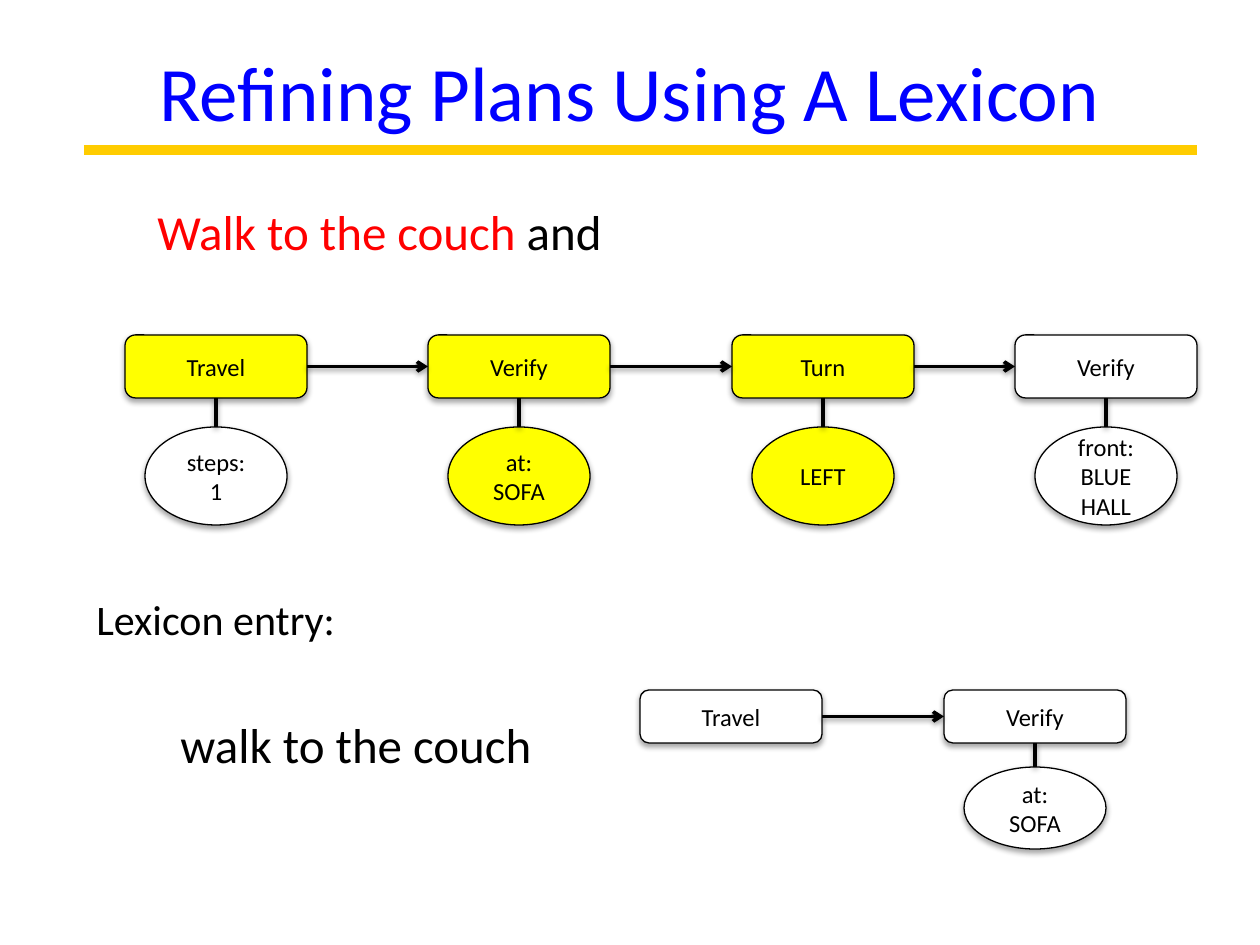
"""Build the slide on refining navigation plans with a lexicon."""
import pptx
import pptx.dml.color
import pptx.enum.shapes
import pptx.enum.text
import pptx.oxml
import pptx.oxml.ns
import pptx.util
from lxml import etree

BLUE = pptx.dml.color.RGBColor(0, 0, 255)
GOLD = pptx.dml.color.RGBColor(255, 204, 0)
RED = pptx.dml.color.RGBColor(255, 0, 0)
YELLOW = pptx.dml.color.RGBColor(255, 255, 0)
BLACK = pptx.dml.color.RGBColor(0, 0, 0)
WHITE = pptx.dml.color.RGBColor(255, 255, 255)

TITLE = "Refining Plans Using A Lexicon"
TEXTS = [
    ((145, 195, 607, 72), 28, [("Walk to the couch ", RED), ("and", BLACK)]),
    ((84, 587, 678, 63), 24, [("Lexicon entry:", BLACK)]),
    ((168, 708, 394, 72), 28, [("walk to the couch", BLACK)]),
]
PLANS = [
    {
        "top": 335, "box_height": 63, "gap": 29, "oval_height": 98,
        "steps": [
            (125, "Travel", YELLOW, ["steps: 1"], WHITE),
            (428, "Verify", YELLOW, ["at: SOFA"], YELLOW),
            (732, "Turn", YELLOW, ["LEFT"], YELLOW),
            (1015, "Verify", WHITE, ["front: BLUE", "HALL"], WHITE),
        ],
    },
    {
        "top": 690, "box_height": 53, "gap": 24, "oval_height": 82,
        "steps": [
            (640, "Travel", WHITE, [], WHITE),
            (944, "Verify", WHITE, ["at: SOFA"], WHITE),
        ],
    },
]
BOX_WIDTH = 182
OVAL_WIDTH = 142
FONT = "Calibri"
SHAPE_KIND = pptx.enum.shapes.MSO_SHAPE
SCALE = 914400 / 126


def px(*lengths):
    return [pptx.util.Emu(round(length * SCALE)) for length in lengths]


def add_run(paragraph, text, size, color):
    run = paragraph.add_run()
    run.text = text
    run.font.name = FONT
    run.font.size = pptx.util.Pt(size)
    run.font.color.rgb = color


def set_effects(shape, distance=0, opacity=0):
    properties = shape._element.spPr
    effects = etree.SubElement(properties, pptx.oxml.ns.qn("a:effectLst"))
    if opacity:
        effects.append(pptx.oxml.parse_xml(
            f'<a:outerShdw {pptx.oxml.ns.nsdecls("a")} blurRad="40000" '
            f'dist="{distance}" dir="5400000" rotWithShape="0">'
            f'<a:srgbClr val="000000"><a:alpha val="{opacity}"/></a:srgbClr>'
            '</a:outerShdw>'))


def add_line(slide, ends, color, width):
    line = slide.shapes.add_connector(
        pptx.enum.shapes.MSO_CONNECTOR.STRAIGHT, *px(*ends))
    line.line.color.rgb = color
    line.line.width = pptx.util.Pt(width)
    return line


def add_link(slide, ends, arrow=False):
    link = add_line(slide, ends, BLACK, 2)
    if arrow:
        etree.SubElement(link.line._get_or_add_ln(),
                         pptx.oxml.ns.qn("a:tailEnd"), type="arrow")
    set_effects(link, 20000, 38000)


def add_node(slide, kind, place, fill, lines):
    node = slide.shapes.add_shape(kind, *px(*place))
    node.fill.solid()
    node.fill.fore_color.rgb = fill
    node.line.color.rgb = BLACK
    node.line.width = pptx.util.Pt(0.75)
    set_effects(node, 23000, 35000)
    frame = node.text_frame
    frame.word_wrap = True
    frame.vertical_anchor = pptx.enum.text.MSO_ANCHOR.MIDDLE
    for index, text in enumerate(lines):
        paragraph = frame.add_paragraph() if index else frame.paragraphs[0]
        paragraph.alignment = pptx.enum.text.PP_ALIGN.CENTER
        add_run(paragraph, text, 14, BLACK)


def add_plan(slide, plan):
    top, height = plan["top"], plan["box_height"]
    middle, bottom = top + height / 2, top + height
    oval_top = bottom + plan["gap"]
    previous_right = None
    for left, action, box_fill, argument, oval_fill in plan["steps"]:
        center = left + BOX_WIDTH / 2
        add_node(slide, SHAPE_KIND.ROUNDED_RECTANGLE,
                 (left, top, BOX_WIDTH, height), box_fill, [action])
        if previous_right is not None:
            add_link(slide, (previous_right, middle, left, middle), arrow=True)
        if argument:
            add_node(slide, SHAPE_KIND.OVAL,
                     (center - OVAL_WIDTH / 2, oval_top, OVAL_WIDTH,
                      plan["oval_height"]), oval_fill, argument)
            add_link(slide, (center, bottom, center, oval_top))
        previous_right = left + BOX_WIDTH


def main():
    presentation = pptx.Presentation()
    presentation.slide_width, presentation.slide_height = px(1260, 945)
    slide = presentation.slides.add_slide(presentation.slide_layouts[5])

    title = slide.shapes.title
    title.left, title.top, title.width, title.height = px(63, 32, 1134, 118)
    title.text_frame.vertical_anchor = pptx.enum.text.MSO_ANCHOR.MIDDLE
    paragraph = title.text_frame.paragraphs[0]
    paragraph.alignment = pptx.enum.text.PP_ALIGN.CENTER
    add_run(paragraph, TITLE, 44, BLUE)
    set_effects(add_line(slide, (84, 150, 1197, 150), GOLD, 6))

    for place, size, runs in TEXTS:
        frame = slide.shapes.add_textbox(*px(*place)).text_frame
        frame.word_wrap = True
        for text, color in runs:
            add_run(frame.paragraphs[0], text, size, color)

    for plan in PLANS:
        add_plan(slide, plan)
    presentation.save("out.pptx")


if __name__ == "__main__":
    main()
